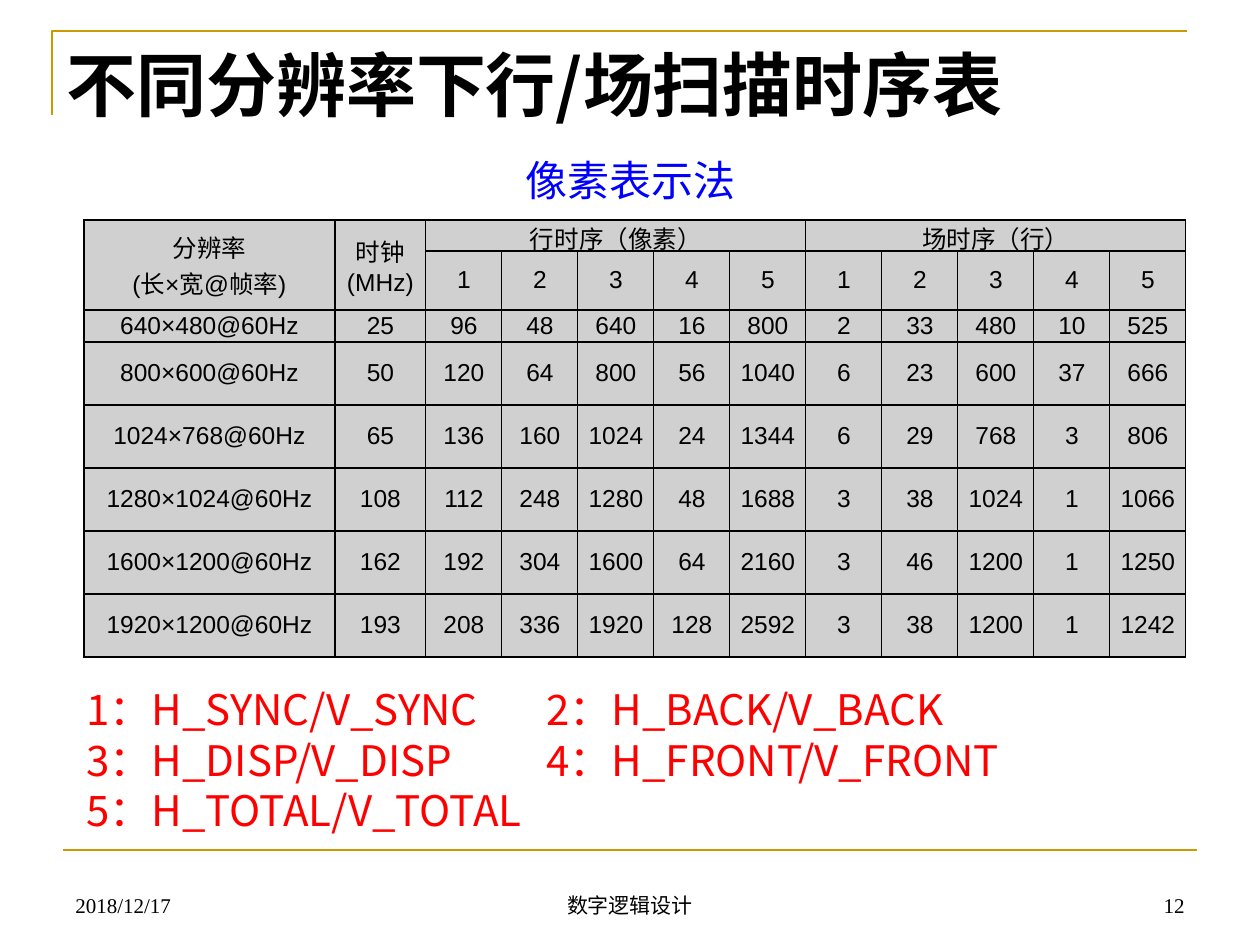
from lxml import etree
from pptx import Presentation
from pptx import util as u
from pptx.dml.color import RGBColor
from pptx.enum import shapes, text
from pptx.oxml.ns import qn

SCALE = 914400 / 126
COLORS = {"gold": "CC9900", "black": "000000", "blue": "0000FF",
          "red": "FF0000", "cell": "D0D0D0"}
CJK = "Noto Sans CJK SC"
SERIF = "Times New Roman"
LEFT, CENTER, RIGHT = (text.PP_ALIGN.LEFT, text.PP_ALIGN.CENTER,
                       text.PP_ALIGN.RIGHT)
TOP, MIDDLE, BOTTOM = (text.MSO_ANCHOR.TOP, text.MSO_ANCHOR.MIDDLE,
                       text.MSO_ANCHOR.BOTTOM)

COL_WIDTHS = [251, 91] + [76] * 10
ROW_HEIGHTS = [31, 59, 32] + [63] * 5
HEADERS = [  # first row, first column, last row, last column, wording
    (0, 0, 1, 0, "分辨率\n(长×宽@帧率)"),
    (0, 1, 1, 1, "时钟\n(MHz)"),
    (0, 2, 0, 6, "行时序（像素）"),
    (0, 7, 0, 11, "场时序（行）"),
]
TIMINGS = [
    ("640×480@60Hz", 25, 96, 48, 640, 16, 800, 2, 33, 480, 10, 525),
    ("800×600@60Hz", 50, 120, 64, 800, 56, 1040, 6, 23, 600, 37, 666),
    ("1024×768@60Hz", 65, 136, 160, 1024, 24, 1344, 6, 29, 768, 3, 806),
    ("1280×1024@60Hz", 108, 112, 248, 1280, 48, 1688, 3, 38, 1024, 1, 1066),
    ("1600×1200@60Hz", 162, 192, 304, 1600, 64, 2160, 3, 46, 1200, 1, 1250),
    ("1920×1200@60Hz", 193, 208, 336, 1920, 128, 2592, 3, 38, 1200, 1, 1242),
]
LEGEND = ("1：H_SYNC/V_SYNC\t2：H_BACK/V_BACK\n"
          "3：H_DISP/V_DISP\t4：H_FRONT/V_FRONT\n"
          "5：H_TOTAL/V_TOTAL")


def px(n):
    """Turn pixels into EMU."""
    return u.Emu(round(n * SCALE))


def rgb(name):
    """Look up a named colour."""
    return RGBColor.from_string(COLORS[name])


def write(tf, words, size, font, color="black", align=LEFT, bold=False,
          spacing=None):
    """Fill a text frame and format every run."""
    tf.text = words
    for p in tf.paragraphs:
        p.alignment = align
        if spacing:
            p.line_spacing = u.Pt(spacing)
        for r in p.runs:
            r.font.size = u.Pt(size)
            r.font.name = font
            r.font.bold = bold
            r.font.color.rgb = rgb(color)
            ea = etree.SubElement(r.font._element, qn("a:ea"))
            ea.set("typeface", CJK)


def add_text(s, box, words, size, font, anchor=TOP, inset=6, **style):
    """Add a wrapping text box."""
    tf = s.shapes.add_textbox(*map(px, box)).text_frame
    tf.word_wrap = True
    tf.vertical_anchor = anchor
    tf.margin_top = px(inset)
    write(tf, words, size, font, **style)
    return tf


def add_tab(tf, pos):
    """Set one left tab stop on every paragraph."""
    for p in tf.paragraphs:
        tabs = etree.SubElement(p._p.get_or_add_pPr(), qn("a:tabLst"))
        etree.SubElement(tabs, qn("a:tab"), pos=str(px(pos)), algn="l")


def style_line(sp):
    """Give a rule its gold stroke."""
    sp.line.color.rgb = rgb("gold")
    sp.line.width = u.Pt(1.5)


def add_rules(s):
    """Draw the corner rule above the title and the rule above the footer."""
    fb = s.shapes.build_freeform(px(52), px(115), scale=1.0)
    fb.add_line_segments([(px(52), px(31)), (px(1187), px(31))], close=False)
    corner = fb.convert_to_shape()
    corner.fill.background()
    corner.shadow.inherit = False
    style_line(corner)
    base = s.shapes.add_connector(shapes.MSO_CONNECTOR.STRAIGHT,
                                  px(63), px(850), px(1197), px(850))
    style_line(base)
    etree.SubElement(base._element.spPr, qn("a:effectLst"))


def style_cell(cell):
    """Set margins, borders and fill of a cell."""
    cell.margin_left = cell.margin_right = px(6)
    cell.margin_top = cell.margin_bottom = 0
    cell.vertical_anchor = MIDDLE
    tc_pr = cell._tc.get_or_add_tcPr()
    for side in ("lnL", "lnR", "lnT", "lnB"):
        ln = etree.SubElement(tc_pr, qn("a:" + side), w=str(u.Pt(0.75)))
        fill = etree.SubElement(ln, qn("a:solidFill"))
        etree.SubElement(fill, qn("a:srgbClr"), val=COLORS["black"])
    cell.fill.solid()
    cell.fill.fore_color.rgb = rgb("cell")


def add_timing_table(s):
    """Add the table of line and field timings."""
    table = s.shapes.add_table(len(ROW_HEIGHTS), len(COL_WIDTHS), px(84),
                               px(220), px(sum(COL_WIDTHS)),
                               px(sum(ROW_HEIGHTS))).table
    table.first_row = table.horz_banding = False
    for col, width in zip(table.columns, COL_WIDTHS):
        col.width = px(width)
    for row, height in zip(table.rows, ROW_HEIGHTS):
        row.height = px(height)
    for cell in table.iter_cells():
        style_cell(cell)
        write(cell.text_frame, "", 14, "Arial")

    def put(row, col, value):
        """Write one centred cell."""
        write(table.cell(row, col).text_frame, str(value), 14, "Arial",
              align=CENTER)

    for top, left, bottom, right, words in HEADERS:
        table.cell(top, left).merge(table.cell(bottom, right))
        put(top, left, words)
    for i in range(10):
        put(1, 2 + i, i % 5 + 1)
    for row, values in enumerate(TIMINGS, 2):
        for col, value in enumerate(values):
            put(row, col, value)


def main():
    """Build the slide and save it."""
    prs = Presentation()
    prs.slide_width, prs.slide_height = px(1260), px(945)
    s = prs.slides.add_slide(prs.slide_layouts[6])
    add_rules(s)
    for x, width, words, align in ((63, 294, "2018/12/17", LEFT),
                                   (430, 400, "数字逻辑设计", CENTER),
                                   (903, 294, "12", RIGHT)):
        add_text(s, (x, 861, width, 63), words, 12, SERIF, anchor=BOTTOM,
                 align=align)
    add_text(s, (54, 35, 1101, 97), "不同分辨率下行/场扫描时序表", 40, CJK,
             anchor=MIDDLE, bold=True)
    add_timing_table(s)
    add_text(s, (437, 145, 387, 63), "像素表示法", 24, CJK, inset=9,
             color="blue", align=CENTER, spacing=29)
    legend = add_text(s, (74, 674, 1091, 165), LEGEND, 24, CJK, inset=9,
                      color="red", spacing=29)
    add_tab(legend, 460)
    prs.save("out.pptx")


main()
